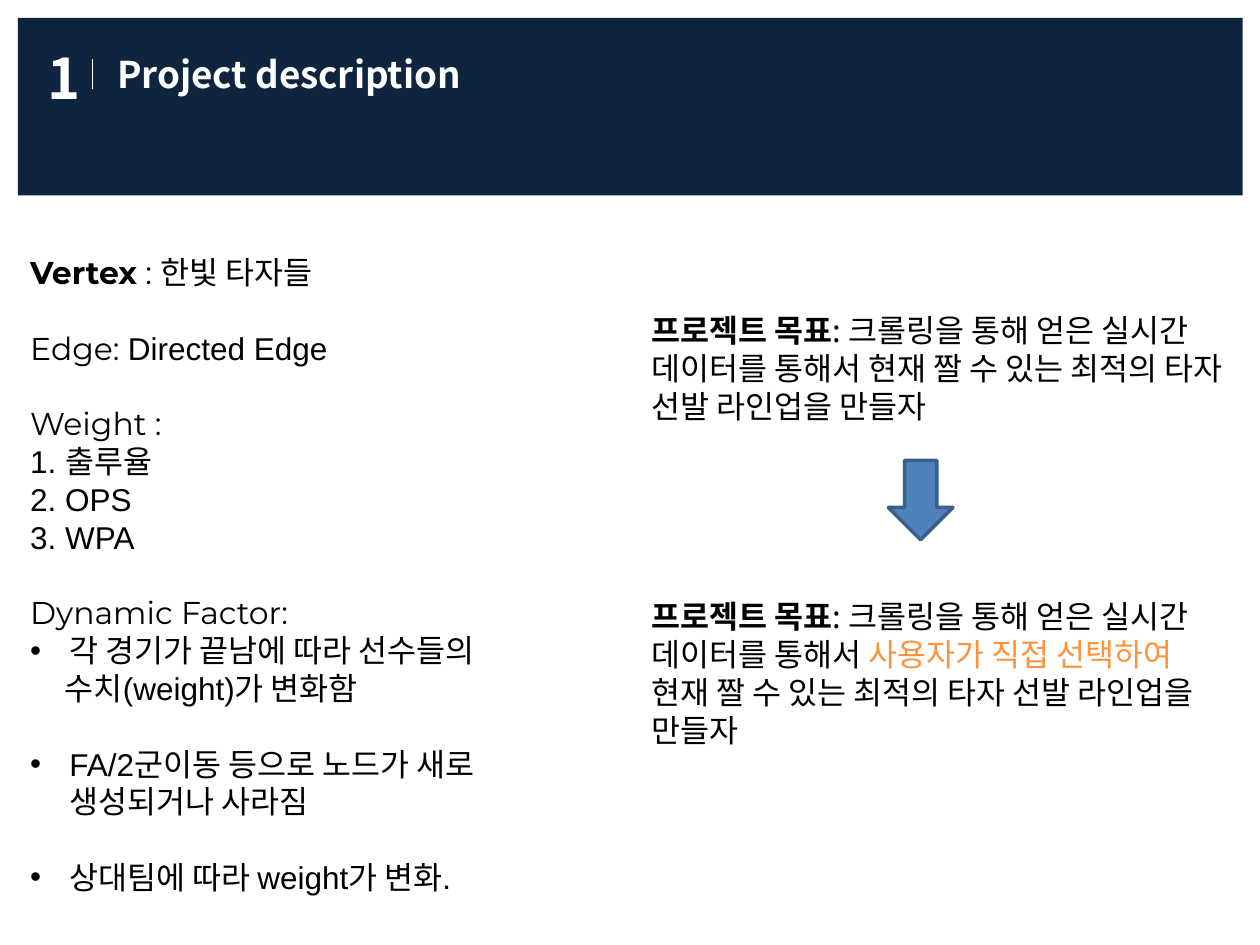
from lxml import etree
from pptx import Presentation
from pptx import util as u
from pptx.dml.color import RGBColor
from pptx.enum import shapes, text
from pptx.oxml import ns

KOREAN, LATIN, DISPLAY = "Noto Sans CJK KR", "Arial", "Montserrat"
WHITE, BLACK, NAVY, BLUE, DARK_BLUE, ORANGE = (
    "FFFFFF", "000000", "0F243E", "4F81BD", "3A5F8C", "FC943E")
LINE_PITCH = 21.6
BULLET_INDENT = 0.79


def color(value):
    return RGBColor.from_string(value)


def add_text_box(slide, left, top, width, height, anchor=text.MSO_ANCHOR.TOP):
    shape = slide.shapes.add_textbox(u.Cm(left), u.Cm(top), u.Cm(width), u.Cm(height))
    frame = shape.text_frame
    frame.word_wrap = True
    frame.vertical_anchor = anchor
    return frame


def add_run(paragraph, words, font=KOREAN, size=18, shade=BLACK, bold=False):
    run = paragraph.add_run()
    run.text = words
    run.font.name = font
    run.font.size = u.Pt(size)
    run.font.bold = bold
    run.font.color.rgb = color(shade)
    east_asian = etree.SubElement(run.font._element, ns.qn("a:ea"))
    east_asian.set("typeface", KOREAN)
    return run


def add_preset(slide, kind, left, top, width, height, fill):
    shape = slide.shapes.add_shape(kind, u.Cm(left), u.Cm(top), u.Cm(width), u.Cm(height))
    shape.shadow.inherit = False
    shape.fill.solid()
    shape.fill.fore_color.rgb = color(fill)
    shape.line.fill.background()
    return shape


def indent(paragraph, left, bullet=None):
    properties = paragraph._p.get_or_add_pPr()
    properties.set("marL", str(u.Cm(left)))
    if bullet:
        properties.set("indent", str(-u.Cm(left)))
        font = etree.SubElement(properties, ns.qn("a:buFont"))
        font.set("typeface", LATIN)
        mark = etree.SubElement(properties, ns.qn("a:buChar"))
        mark.set("char", bullet)


def fill_body(frame, paragraphs):
    for index, (runs, gap, left, bullet) in enumerate(paragraphs):
        paragraph = frame.add_paragraph() if index else frame.paragraphs[0]
        paragraph.line_spacing = u.Pt(LINE_PITCH)
        if gap:
            paragraph.space_before = u.Pt(LINE_PITCH)
        if left:
            indent(paragraph, left, bullet)
        for words, style in runs:
            add_run(paragraph, words, **style)


def add_header(slide, left, top, width, height, number, title):
    add_preset(slide, shapes.MSO_SHAPE.RECTANGLE, left, top, width, height, NAVY)
    number_frame = add_text_box(slide, left + 0.35, top, 1.8, 2.4, text.MSO_ANCHOR.MIDDLE)
    add_run(number_frame.paragraphs[0], number, size=32, shade=WHITE, bold=True)
    title_frame = add_text_box(slide, left + 1.75, top + 0.55, 11.4, 2.4)
    add_run(title_frame.paragraphs[0], title, size=21, shade=WHITE, bold=True)
    x, y = u.Cm(left + 1.5), u.Cm(top + 0.83)
    divider = slide.shapes.add_connector(
        shapes.MSO_CONNECTOR.STRAIGHT, x, y, x, y + u.Cm(0.61))
    divider.line.color.rgb = color(WHITE)
    divider.line.width = u.Pt(0.25)
    etree.SubElement(divider._element.spPr, ns.qn("a:effectLst"))


def add_graph_model(slide, left, top, width, height):
    display, latin, korean = {"font": DISPLAY}, {"font": LATIN}, {}
    bullet = (BULLET_INDENT, "•")
    plain = (0, None)
    fill_body(add_text_box(slide, left, top, width, height), [
        ([("Vertex", {"font": DISPLAY, "bold": True}), (" : 한빛 타자들", display)], False, *plain),
        ([("Edge: ", display), ("Directed Edge", latin)], True, *plain),
        ([("Weight :", display)], True, *plain),
        ([("1. 출루율", latin)], False, *plain),
        ([("2. OPS", latin)], False, *plain),
        ([("3. WPA", latin)], False, *plain),
        ([("Dynamic Factor:", display)], True, *plain),
        ([("각 경기가 끝남에 따라 선수들의", display)], False, *bullet),
        ([("수치", korean), ("(weight)", latin), ("가 변화함", display)], False, 0.7, None),
        ([("FA/2군이동 등으로 노드가 새로 생성되거나 사라짐", latin)], True, *bullet),
        ([("상대팀에 따라 weight가 변화.", latin)], True, *bullet),
    ])


def add_goal(slide, left, top, width, height, first, rest=None):
    opening = [("프로젝트 목표", {"font": LATIN, "bold": True}),
               (": 크롤링을 통해 얻은 실시간 데이터를 통해서 ", {})]
    paragraphs = [(opening + first, False, 0, None)]
    if rest:
        paragraphs.append((rest, False, 0, None))
    fill_body(add_text_box(slide, left, top, width, height), paragraphs)


def add_goals(slide, left, top, width):
    outcome = [("현재 짤 수 있는 최적의 타자 선발 라인업을 만들자", {})]
    add_goal(slide, left, top, width, 2.57, outcome)
    arrow = add_preset(slide, shapes.MSO_SHAPE.DOWN_ARROW,
                       left + 5.03, top + 3.13, 1.3, 1.6, BLUE)
    arrow.line.color.rgb = color(DARK_BLUE)
    arrow.line.width = u.Pt(2)
    add_goal(slide, left, top + 5.77, width, 3.33,
             [("사용자가 직접 선택하여", {"shade": ORANGE})], outcome)


presentation = Presentation()
presentation.slide_width = u.Cm(25.4)
presentation.slide_height = u.Cm(19.05)
slide = presentation.slides.add_slide(presentation.slide_layouts[6])
add_header(slide, 0.36, 0.36, 24.69, 3.58, "1", "Project description")
add_graph_model(slide, 0.36, 4.98, 10.95, 13.34)
add_goals(slide, 12.88, 6.15, 13)
presentation.save("out.pptx")
